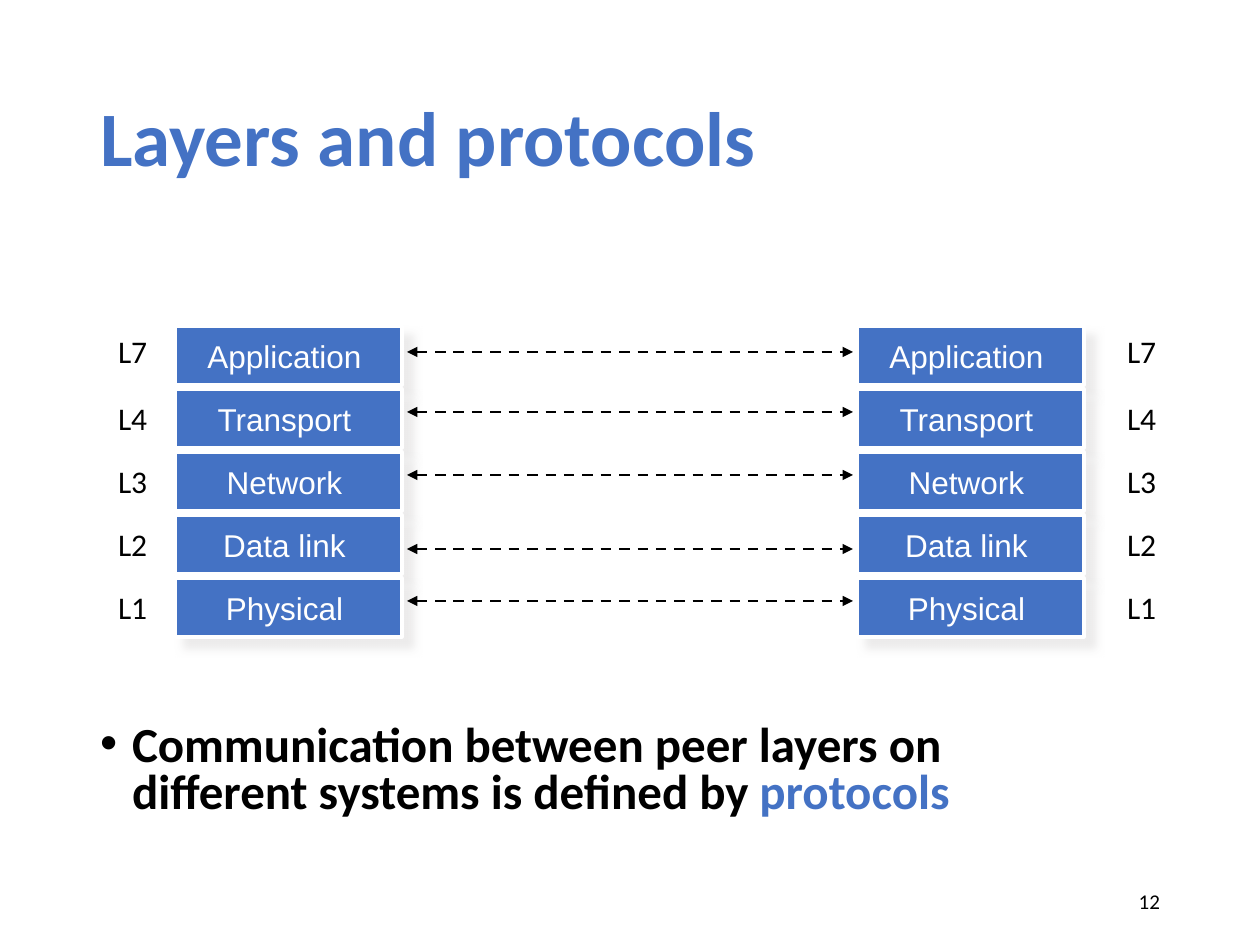
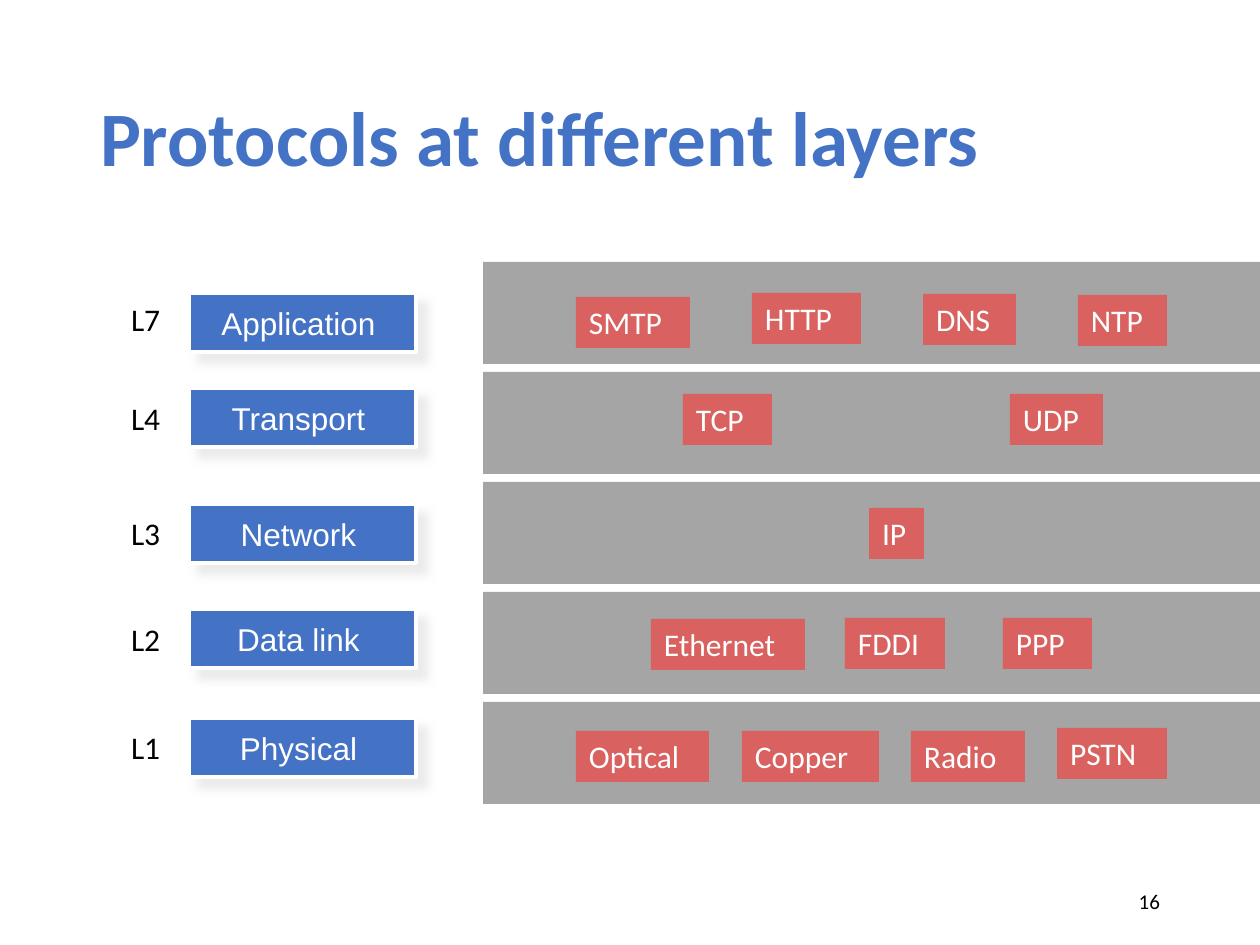
from dataclasses import dataclass
from typing import Any, NamedTuple, Optional

import lxml.etree
import pptx
import pptx.dml.color
import pptx.enum.dml
import pptx.enum.shapes
import pptx.enum.text
import pptx.oxml
import pptx.oxml.ns
import pptx.util

PX = 914400 / 126
COLORS = {
    "blue": "4472C4",
    "gray": "A5A5A5",
    "red": "D9615F",
    "shadow": "E7E6E6",
    "white": "FFFFFF",
    "black": "000000",
}
ALIGN = pptx.enum.text.PP_ALIGN
ANCHOR = pptx.enum.text.MSO_ANCHOR
LAYERS = ("Application", "Transport", "Network", "Data link", "Physical")
LEVELS = ("L7", "L4", "L3", "L2", "L1")


class Area(NamedTuple):
    left: int
    top: int
    width: int
    height: int


@dataclass(frozen=True)
class TextStyle:
    size: int
    color: str
    font: str = "Calibri"
    bold: bool = False
    align: Any = ALIGN.LEFT
    anchor: Any = ANCHOR.TOP
    margins: tuple[int, int, int, int] = (13, 6, 13, 6)
    line_spacing: float = 1.0


@dataclass(frozen=True)
class LayerStack:
    box_left: int
    label_left: int
    box_tops: tuple[int, ...]
    label_tops: tuple[int, ...]


class Protocol(NamedTuple):
    name: str
    left: int
    top: int
    width: int


TITLE = TextStyle(44, "blue", bold=True, anchor=ANCHOR.MIDDLE, line_spacing=0.9)
BODY = TextStyle(28, "black", bold=True, line_spacing=0.8)
NUMBER = TextStyle(12, "black", align=ALIGN.RIGHT, anchor=ANCHOR.MIDDLE)
LAYER = TextStyle(18, "white", "Arial", align=ALIGN.CENTER,
                  anchor=ANCHOR.MIDDLE, margins=(5, 5, 13, 5))
LABEL = TextStyle(18, "black", margins=(13, 6, 0, 6))
PROTOCOL = TextStyle(18, "white", margins=(13, 6, 0, 6))

TITLE_AREA = Area(87, 50, 1086, 183)
BODY_AREA = Area(87, 719, 1086, 132)
NUMBER_AREA = Area(890, 876, 283, 50)
ROW_HEIGHT = 51

PEER_BOX_TOPS = tuple(326 + 63 * row for row in range(len(LAYERS)))
PEER_LABEL_TOPS = (326, 393, 456, 519, 582)
PEERS = (
    LayerStack(175, 105, PEER_BOX_TOPS, PEER_LABEL_TOPS),
    LayerStack(857, 1114, PEER_BOX_TOPS, PEER_LABEL_TOPS),
)
ARROW_TOPS = (352, 412, 475, 549, 601)
PROTOCOL_STACK = LayerStack(189, 118, (293, 388, 504, 609, 718),
                            (294, 393, 508, 614, 722))
PROTOCOLS = (
    Protocol("SMTP", 576, 297, 114),
    Protocol("HTTP", 752, 293, 109),
    Protocol("DNS", 923, 294, 93),
    Protocol("NTP", 1078, 295, 89),
    Protocol("TCP", 683, 394, 89),
    Protocol("UDP", 1010, 394, 93),
    Protocol("IP", 869, 508, 55),
    Protocol("Ethernet", 651, 619, 154),
    Protocol("FDDI", 845, 618, 100),
    Protocol("PPP", 1003, 618, 89),
    Protocol("Optical", 576, 731, 133),
    Protocol("Copper", 742, 731, 137),
    Protocol("Radio", 911, 731, 114),
    Protocol("PSTN", 1057, 728, 110),
)


def emu(px: int) -> int:
    return round(px * PX)


def rgb(name: str) -> pptx.dml.color.RGBColor:
    return pptx.dml.color.RGBColor.from_string(COLORS[name])


def set_values(target: Any, values: dict[str, Any]) -> None:
    for name, value in values.items():
        setattr(target, name, value)


def place(shape: Any, area: Area) -> None:
    set_values(shape, {name: emu(px) for name, px in area._asdict().items()})


def format_font(font: Any, style: TextStyle) -> None:
    set_values(font, {"name": style.font, "size": pptx.util.Pt(style.size),
                      "bold": style.bold})
    font.color.rgb = rgb(style.color)


def write(shape: Any, text: str, style: TextStyle) -> Any:
    frame = shape.text_frame
    sides = ("left", "top", "right", "bottom")
    set_values(frame, {
        "word_wrap": True,
        "auto_size": pptx.enum.text.MSO_AUTO_SIZE.NONE,
        "vertical_anchor": style.anchor,
        **{f"margin_{side}": emu(px) for side, px in zip(sides, style.margins)},
    })
    para = frame.paragraphs[0]
    para.text = text
    set_values(para, {"alignment": style.align, "line_spacing": style.line_spacing,
                      "space_before": pptx.util.Pt(0)})
    for span in para.runs:
        format_font(span.font, style)
    return para


def add_box(page: Any, area: Area, fill: str, text: str = "",
            style: Optional[TextStyle] = None) -> Any:
    box = page.shapes.add_shape(pptx.enum.shapes.MSO_SHAPE.RECTANGLE,
                                *(emu(px) for px in area))
    box.shadow.inherit = False
    box.fill.solid()
    box.fill.fore_color.rgb = rgb(fill)
    box.line.fill.background()
    if style:
        write(box, text, style)
    return box


def add_layer(page: Any, area: Area, text: str) -> None:
    box = add_box(page, area, "blue", text, LAYER)
    box.line.color.rgb = rgb("white")
    box.line.width = pptx.util.Pt(2)
    effects = box._element.spPr.find(pptx.oxml.ns.qn("a:effectLst"))
    effects.append(pptx.oxml.parse_xml(
        f'<a:outerShdw {pptx.oxml.ns.nsdecls("a")} blurRad="63500" dist="101600" '
        'dir="2700000" algn="ctr" rotWithShape="0">'
        f'<a:srgbClr val="{COLORS["shadow"]}"><a:alpha val="75000"/></a:srgbClr>'
        '</a:outerShdw>'))


def add_stack(page: Any, stack: LayerStack) -> None:
    for layer, top in zip(LAYERS, stack.box_tops):
        add_layer(page, Area(stack.box_left, top, 227, 59), layer)
    for level, top in zip(LEVELS, stack.label_tops):
        add_box(page, Area(stack.label_left, top, 55, ROW_HEIGHT), "white", level, LABEL)


def add_peer_arrow(page: Any, top: int) -> None:
    arrow = page.shapes.add_connector(
        pptx.enum.shapes.MSO_CONNECTOR.STRAIGHT,
        emu(407), emu(top), emu(853), emu(top))
    arrow.line.color.rgb = rgb("black")
    set_values(arrow.line, {"width": pptx.util.Pt(1.5),
                            "dash_style": pptx.enum.dml.MSO_LINE.DASH})
    qn = pptx.oxml.ns.qn
    line = arrow.line._get_or_add_ln()
    for end in ("a:headEnd", "a:tailEnd"):
        lxml.etree.SubElement(line, qn(end), type="triangle")
    lxml.etree.SubElement(arrow._element.spPr, qn("a:effectLst"))


def add_page(deck: Any, layout: int, title: str, number: int) -> Any:
    page = deck.slides.add_slide(deck.slide_layouts[layout])
    place(page.shapes.title, TITLE_AREA)
    write(page.shapes.title, title, TITLE)
    box = page.shapes.add_textbox(*(emu(px) for px in NUMBER_AREA))
    write(box, str(number), NUMBER)
    return page


def add_statement(page: Any) -> None:
    body = page.placeholders[1]
    place(body, BODY_AREA)
    para = write(body, "Communication between peer layers on\v"
                       "different systems is defined by ", BODY)
    properties = para._p.get_or_add_pPr()
    properties.set("marL", str(emu(32)))
    properties.set("indent", str(-emu(32)))
    qn = pptx.oxml.ns.qn
    lxml.etree.SubElement(properties, qn("a:buFont"), typeface="Arial")
    lxml.etree.SubElement(properties, qn("a:buChar"), char="•")
    format_font(para.font, BODY)
    span = para.add_run()
    span.text = "protocols"
    format_font(span.font, BODY)
    span.font.color.rgb = rgb("blue")


def build_peers(deck: Any) -> None:
    page = add_page(deck, 1, "Layers and protocols", 12)
    add_statement(page)
    for stack in PEERS:
        add_stack(page, stack)
    for top in ARROW_TOPS:
        add_peer_arrow(page, top)


def build_protocols(deck: Any) -> None:
    page = add_page(deck, 5, "Protocols at different layers", 16)
    for row in range(len(LAYERS)):
        add_box(page, Area(483, 262 + 110 * row, 777, 102), "gray")
    add_stack(page, PROTOCOL_STACK)
    for name, left, top, width in PROTOCOLS:
        add_box(page, Area(left, top, width, ROW_HEIGHT), "red", name, PROTOCOL)


def main() -> None:
    deck = pptx.Presentation()
    set_values(deck, {"slide_width": emu(1260), "slide_height": emu(945)})
    build_peers(deck)
    build_protocols(deck)
    deck.save("out.pptx")


if __name__ == "__main__":
    main()
